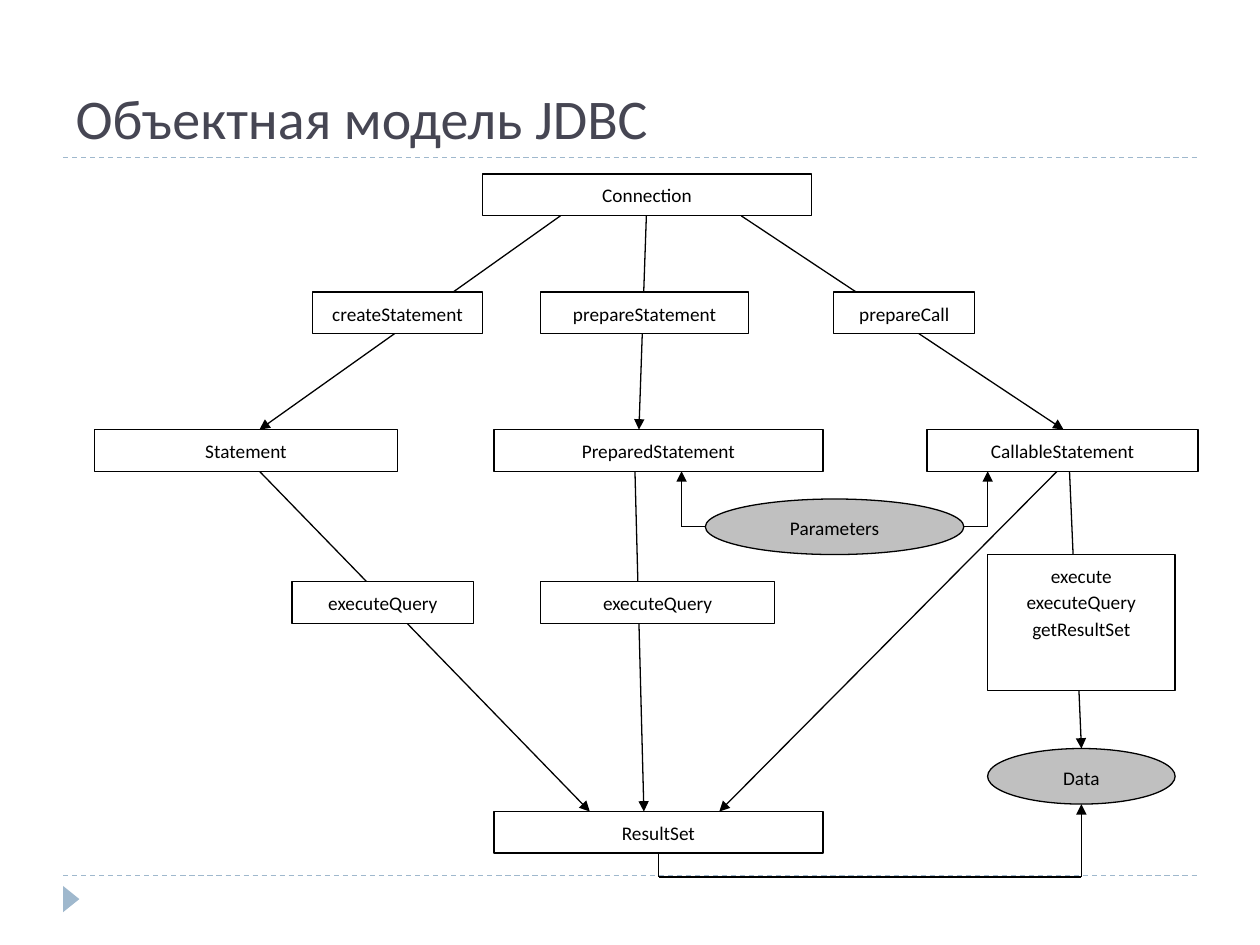
from itertools import pairwise

from lxml.etree import SubElement
from pptx import Presentation
from pptx.dml.color import RGBColor
from pptx.enum.dml import MSO_LINE
from pptx.enum.shapes import MSO_CONNECTOR, MSO_SHAPE as SHAPE
from pptx.enum.text import MSO_ANCHOR as ANCHOR, PP_ALIGN as ALIGN
from pptx.oxml.ns import qn
from pptx.util import Cm, Pt

COLORS = {
    "title": "464653",
    "accent": "9FB8CD",
    "ink": "000000",
    "box": "FFFFFF",
    "ellipse": "C0C0C0",
}
FONT = "Calibri"

# All lengths are in centimetres.
BOX_HEIGHT = 0.84
ELLIPSE_HEIGHT = 1.12
CONNECTION, METHODS, STATEMENTS, QUERIES, RESULT = 3.51, 5.89, 8.66, 11.73, 16.36
CONNECTION_END, STATEMENTS_END, RESULT_END = (
    top + BOX_HEIGHT for top in (CONNECTION, STATEMENTS, RESULT)
)
PARAMETERS, DATA = 10.06, 15.09
PARAMETERS_MIDDLE = PARAMETERS + ELLIPSE_HEIGHT / 2
DATA_CENTER = 21.8

# Text, left, top, width
BOXES = [
    ("Connection", 9.73, CONNECTION, 6.63),
    ("createStatement", 6.3, METHODS, 3.43),
    ("prepareStatement", 10.9, METHODS, 4.19),
    ("prepareCall", 16.81, METHODS, 2.84),
    ("Statement", 1.91, STATEMENTS, 6.1),
    ("PreparedStatement", 9.96, STATEMENTS, 6.63),
    ("CallableStatement", 18.69, STATEMENTS, 5.46),
    ("executeQuery", 5.89, QUERIES, 3.66),
    ("executeQuery", 10.9, QUERIES, 4.72),
    ("ResultSet", 9.96, RESULT, 6.63),
]
ELLIPSES = [
    ("Parameters", 14.22, PARAMETERS, 5.21),
    ("Data", 19.91, DATA, 3.78),
]
# Each route is a chain of points that ends in an arrowhead.
ROUTES = [
    [(11.3, CONNECTION_END), (5.23, STATEMENTS)],
    [(13.03, CONNECTION_END), (12.88, STATEMENTS)],
    [(14.94, CONNECTION_END), (21.44, STATEMENTS)],
    [(5.23, STATEMENTS_END), (11.89, RESULT)],
    [(12.8, STATEMENTS_END), (12.98, RESULT)],
    [(21.31, STATEMENTS_END), (14.5, RESULT)],
    [(21.56, STATEMENTS_END), (DATA_CENTER, DATA)],
    [(14.22, PARAMETERS_MIDDLE), (13.74, PARAMETERS_MIDDLE), (13.74, STATEMENTS_END)],
    [(19.43, PARAMETERS_MIDDLE), (19.91, PARAMETERS_MIDDLE), (19.91, STATEMENTS_END)],
    [(13.28, RESULT_END), (13.28, 17.68), (DATA_CENTER, 17.68),
     (DATA_CENTER, DATA + ELLIPSE_HEIGHT)],
]


def color(name):
    return RGBColor.from_string(COLORS[name])


def style_run(span, size, color_name):
    span.font.name = FONT
    span.font.size = Pt(size)
    span.font.color.rgb = color(color_name)


def add_line(page, start, end, color_name="ink"):
    line = page.shapes.add_connector(
        MSO_CONNECTOR.STRAIGHT, *(Cm(value) for value in (*start, *end))
    )
    line.line.color.rgb = color(color_name)
    line.line.width = Pt(0.75)
    SubElement(line._element.spPr, qn("a:effectLst"))
    return line


def add_rule(page, top):
    rule = add_line(page, (1.27, top), (24.13, top), "accent")
    rule.line.dash_style = MSO_LINE.DASH


def add_route(page, points):
    for start, end in pairwise(points):
        line = add_line(page, start, end)
    SubElement(line.line._get_or_add_ln(), qn("a:tailEnd"), type="triangle")


def add_shape(page, kind, left, top, width, height, fill):
    shape = page.shapes.add_shape(kind, Cm(left), Cm(top), Cm(width), Cm(height))
    shape.shadow.inherit = False
    shape.fill.solid()
    shape.fill.fore_color.rgb = color(fill)
    shape.line.fill.background()
    return shape


def add_node(page, kind, text, left, top, width, height, fill):
    node = add_shape(page, kind, left, top, width, height, fill)
    node.line.color.rgb = color("ink")
    node.line.width = Pt(0.75)
    frame = node.text_frame
    frame.text = text
    frame.word_wrap = True
    frame.vertical_anchor = ANCHOR.TOP
    for para in frame.paragraphs:
        para.alignment = ALIGN.CENTER
        para.line_spacing = 1.15
        style_run(para.runs[0], 11, "ink")


def set_title(page, text):
    title = page.shapes.title
    title.left, title.top, title.width, title.height = (
        Cm(value) for value in (1.27, 0.43, 22.86, 2.74)
    )
    frame = title.text_frame
    frame.text = text
    frame.vertical_anchor = ANCHOR.BOTTOM
    para = frame.paragraphs[0]
    para.alignment = ALIGN.LEFT
    style_run(para.runs[0], 32, "title")


def main():
    deck = Presentation()
    deck.slide_width, deck.slide_height = Cm(25.4), Cm(19.05)
    page = deck.slides.add_slide(deck.slide_layouts[5])

    set_title(page, "Объектная модель JDBC")
    for top in (3.18, 17.65):
        add_rule(page, top)
    marker = add_shape(page, SHAPE.ISOSCELES_TRIANGLE, 1.17, 17.96, 0.53, 0.33, "accent")
    marker.rotation = 90

    for points in ROUTES:
        add_route(page, points)
    for box in BOXES:
        add_node(page, SHAPE.RECTANGLE, *box, BOX_HEIGHT, "box")
    add_node(page, SHAPE.RECTANGLE, "execute\nexecuteQuery\ngetResultSet",
             19.91, 11.18, 3.78, 2.74, "box")
    for ellipse in ELLIPSES:
        add_node(page, SHAPE.OVAL, *ellipse, ELLIPSE_HEIGHT, "ellipse")

    deck.save("out.pptx")


if __name__ == "__main__":
    main()
